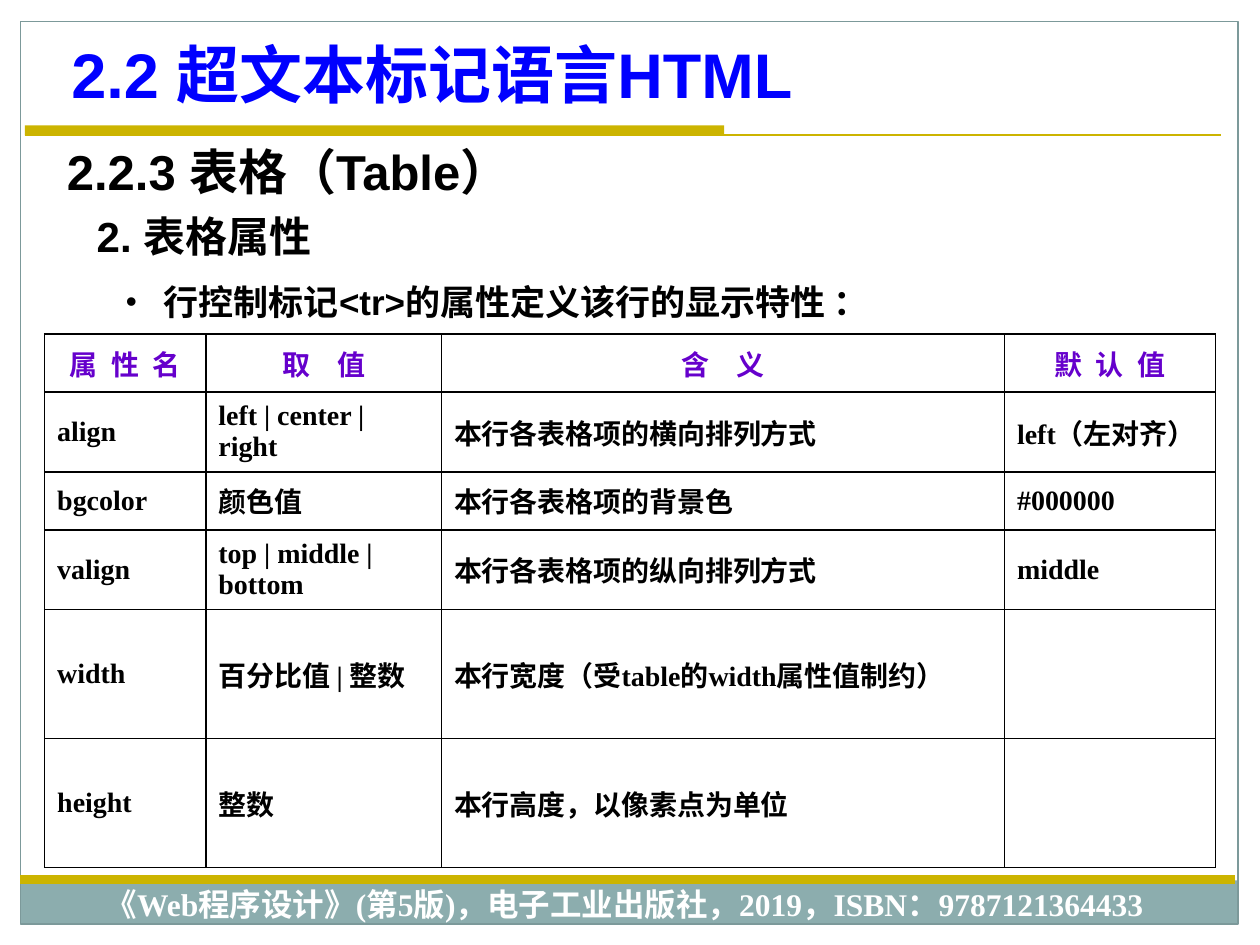
from dataclasses import dataclass

from lxml.etree import SubElement
from pptx import Presentation
from pptx.dml.color import RGBColor
from pptx.enum.shapes import MSO_CONNECTOR, MSO_SHAPE
from pptx.enum.text import MSO_ANCHOR, PP_ALIGN
from pptx.oxml.ns import qn
from pptx.shapes.autoshape import Shape
from pptx.table import Table
from pptx.util import Cm, Pt

COLORS = {
    "title": "0000FF",
    "text": "000000",
    "header": "6600CC",
    "gold": "CCB400",
    "band": "8CADAE",
    "frame": "7C999A",
    "white": "FFFFFF",
}
SANS, SERIF = "Arial", "Times New Roman"


@dataclass
class TextLine:
    text: str
    left: float
    top: float
    width: float
    height: float
    size: int
    color: str = "text"
    font: str = SANS
    align: PP_ALIGN = PP_ALIGN.LEFT
    line_spacing: float = 1.0
    side_inset: float = 0.25
    bullet_indent: float = 0


@dataclass
class Band:
    color: str
    left: float
    top: float
    width: float
    height: float


@dataclass
class Rule:
    left: float
    right: float
    y: float
    weight: float


TEXT_LINES = [
    TextLine("《Web程序设计》(第5版)，电子工业出版社，2019，ISBN：9787121364433",
             0.89, 17.72, 23.4, 1.02, 18, "white", SERIF, PP_ALIGN.CENTER, side_inset=0),
    TextLine("2.2 超文本标记语言HTML", 1.19, 0.6, 22.86, 1.32, 36, "title"),
    TextLine("2.2.3 表格（Table）", 1.1, 2.72, 14.8, 1.45, 28),
    TextLine("2. 表格属性", 1.7, 3.92, 21.4, 1.47, 24,
             align=PP_ALIGN.JUSTIFY, line_spacing=1.2),
    TextLine("行控制标记<tr>的属性定义该行的显示特性 ：", 2.29, 5.54, 21.6, 1.09, 20,
             bullet_indent=0.76),
]
MARGINS = [
    Band("white", 0, 0, 25.4, 0.43),
    Band("white", 24.97, 0, 0.43, 19.05),
    Band("white", 0, 0, 0.43, 19.05),
]
FOOTER_BAND = Band("band", 0.41, 17.75, 24.54, 0.86)
TITLE_BAR = Band("gold", 0.5, 2.53, 14.1, 0.2)
RULES = [Rule(0.5, 24.61, 2.72, 0.75), Rule(0.41, 24.89, 17.73, 5)]

# Header label and the letter spacing, in points, that spreads it out
HEADERS = [("属 性 名", 2), ("取 值", 6), ("含 义", 6), ("默 认 值", 2)]
ATTRIBUTES = [
    ("align", "left | center | right", "本行各表格项的横向排列方式", "left（左对齐）"),
    ("bgcolor", "颜色值", "本行各表格项的背景色", "#000000"),
    ("valign", "top | middle | bottom", "本行各表格项的纵向排列方式", "middle"),
    ("width", "百分比值 | 整数", "本行宽度（受table的width属性值制约）", ""),
    ("height", "整数", "本行高度，以像素点为单位", ""),
]
COLUMN_WIDTHS = [3.25, 4.75, 11.35, 4.25]
ROW_HEIGHTS = [1.17, 1.61, 1.17, 1.61, 2.6, 2.6]


def rgb(name: str) -> RGBColor:
    return RGBColor.from_string(COLORS[name])


def add_span(para, text: str, size: int, color: str, font: str):
    span = para.add_run()
    span.text = text
    span.font.name = font
    span.font.size = Pt(size)
    span.font.bold = True
    span.font.color.rgb = rgb(color)
    return span


def add_rectangle(page, left: float, top: float, width: float, height: float) -> Shape:
    shape = page.shapes.add_shape(
        MSO_SHAPE.RECTANGLE, Cm(left), Cm(top), Cm(width), Cm(height))
    shape.shadow.inherit = False
    return shape


def add_band(page, band: Band) -> None:
    shape = add_rectangle(page, band.left, band.top, band.width, band.height)
    shape.fill.solid()
    shape.fill.fore_color.rgb = rgb(band.color)
    shape.line.fill.background()


def add_frame(page) -> None:
    frame = add_rectangle(page, 0.42, 0.43, 24.54, 18.2)
    frame.fill.background()
    frame.line.color.rgb = rgb("frame")
    frame.line.width = Pt(0.75)


def add_rule(page, rule: Rule) -> None:
    line = page.shapes.add_connector(
        MSO_CONNECTOR.STRAIGHT, Cm(rule.left), Cm(rule.y), Cm(rule.right), Cm(rule.y))
    line.line.color.rgb = rgb("gold")
    line.line.width = Pt(rule.weight)
    SubElement(line._element.spPr, qn("a:effectLst"))


def add_bullet(para, indent: float) -> None:
    properties = para._p.get_or_add_pPr()
    properties.set("marL", str(Cm(indent)))
    properties.set("indent", str(-Cm(indent)))
    SubElement(properties, qn("a:buSzPct"), val="90000")
    SubElement(properties, qn("a:buFont"), typeface=SANS)
    SubElement(properties, qn("a:buChar"), char="•")


def add_text_line(page, item: TextLine) -> None:
    box = page.shapes.add_textbox(
        Cm(item.left), Cm(item.top), Cm(item.width), Cm(item.height))
    frame = box.text_frame
    frame.word_wrap = True
    frame.margin_left = frame.margin_right = Cm(item.side_inset)
    para = frame.paragraphs[0]
    para.alignment = item.align
    para.line_spacing = item.line_spacing
    if item.bullet_indent:
        add_bullet(para, item.bullet_indent)
    add_span(para, item.text, item.size, item.color, item.font)


def draw_borders(cell) -> None:
    """Draw all four sides; the lines must precede the cell's fill."""
    properties = cell._tc.get_or_add_tcPr()
    for side in ("a:lnL", "a:lnR", "a:lnT", "a:lnB"):
        line = SubElement(properties, qn(side), w=str(Pt(1)))
        fill = SubElement(line, qn("a:solidFill"))
        SubElement(fill, qn("a:srgbClr"), val=COLORS["text"])


def fill_cell(cell, text: str, color: str, align: PP_ALIGN, spacing: int = 0) -> None:
    draw_borders(cell)
    cell.fill.background()
    cell.vertical_anchor = MSO_ANCHOR.MIDDLE
    para = cell.text_frame.paragraphs[0]
    para.alignment = align
    if text:
        span = add_span(para, text, 16, color, SERIF)
        if spacing:
            span._r.get_or_add_rPr().set("spc", str(spacing * 100))


def add_attribute_table(page) -> Table:
    table = page.shapes.add_table(
        len(ROW_HEIGHTS), len(COLUMN_WIDTHS), Cm(0.9), Cm(6.73),
        Cm(sum(COLUMN_WIDTHS)), Cm(sum(ROW_HEIGHTS))).table
    table.first_row = table.horz_banding = False
    for column, width in zip(table.columns, COLUMN_WIDTHS):
        column.width = Cm(width)
    for row, height in zip(table.rows, ROW_HEIGHTS):
        row.height = Cm(height)
    for index, (label, spacing) in enumerate(HEADERS):
        fill_cell(table.cell(0, index), label, "header", PP_ALIGN.CENTER, spacing)
    for row_index, values in enumerate(ATTRIBUTES, start=1):
        for index, value in enumerate(values):
            fill_cell(table.cell(row_index, index), value, "text", PP_ALIGN.LEFT)
    return table


def main() -> None:
    deck = Presentation()
    deck.slide_width, deck.slide_height = Cm(25.4), Cm(19.05)
    page = deck.slides.add_slide(deck.slide_layouts[6])
    for band in [*MARGINS, FOOTER_BAND]:
        add_band(page, band)
    add_frame(page)
    add_band(page, TITLE_BAR)
    for rule in RULES:
        add_rule(page, rule)
    for item in TEXT_LINES:
        add_text_line(page, item)
    add_attribute_table(page)
    deck.save("out.pptx")


if __name__ == "__main__":
    main()
